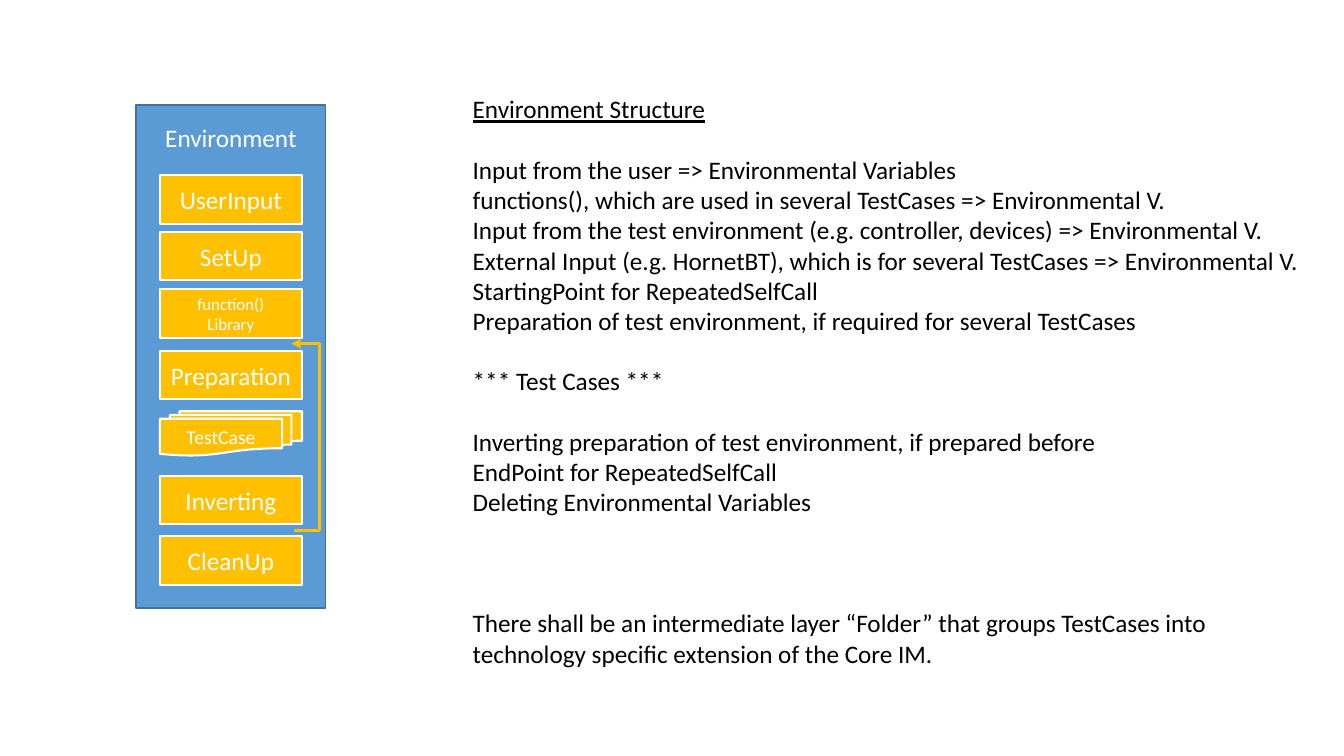
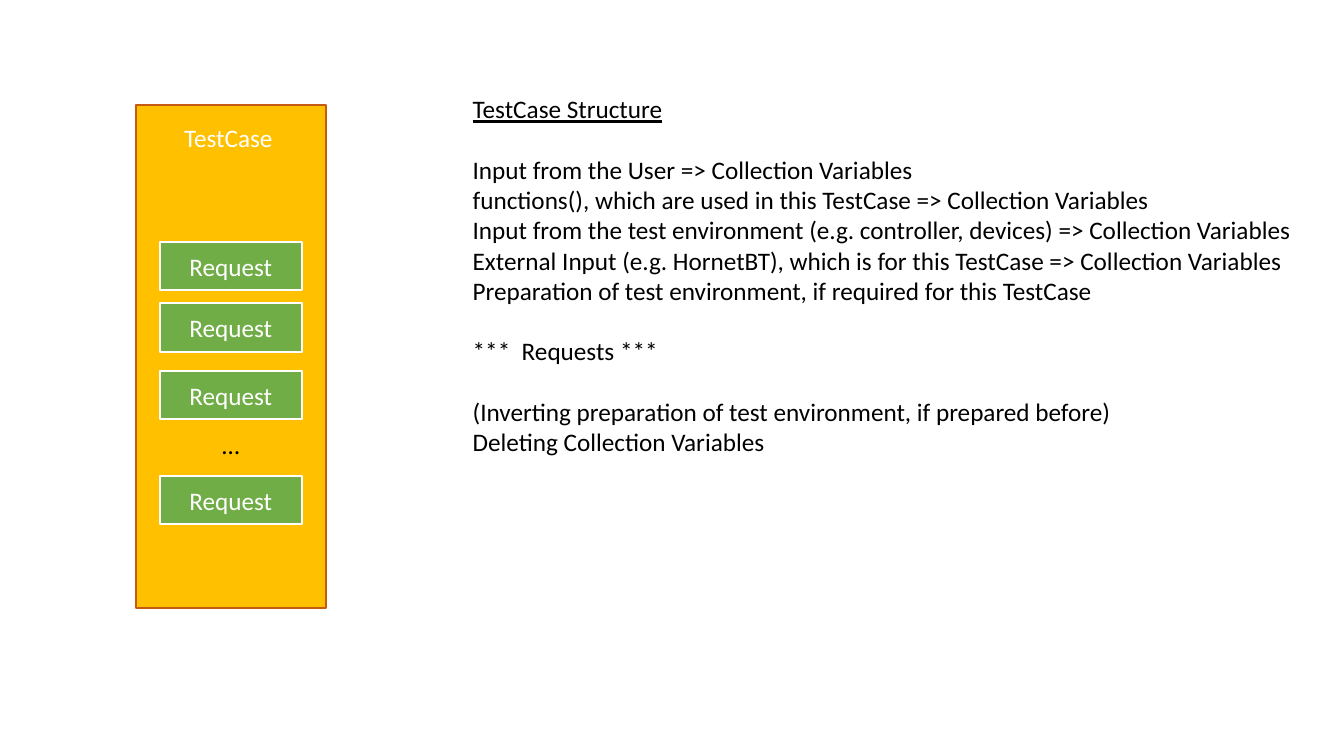
from dataclasses import dataclass

from lxml import etree
from pptx import Presentation
from pptx.dml.color import RGBColor
from pptx.enum.shapes import MSO_CONNECTOR, MSO_SHAPE
from pptx.enum.text import MSO_ANCHOR, PP_ALIGN
from pptx.oxml.ns import qn
from pptx.util import Inches, Pt

RECT, OVAL = MSO_SHAPE.RECTANGLE, MSO_SHAPE.OVAL
MULTIDOC = MSO_SHAPE.FLOWCHART_MULTIDOCUMENT
ELBOW = MSO_CONNECTOR.ELBOW
LEFT, CENTER = PP_ALIGN.LEFT, PP_ALIGN.CENTER
TOP, MIDDLE = MSO_ANCHOR.TOP, MSO_ANCHOR.MIDDLE


@dataclass(frozen=True)
class Theme:
    font: str = "Calibri"
    blue: str = "5B9BD5"
    navy: str = "41719C"
    gold: str = "FFC000"
    rust: str = "C55A11"
    green: str = "70AD47"
    white: str = "FFFFFF"
    black: str = "000000"
    body: float = 18
    medium: float = 14
    small: float = 12
    line_gap: float = 21.6
    thin: float = 1
    border: float = 1.5
    arrow: float = 2.25


T = Theme()

SLIDE_W, SLIDE_H = 13.33, 7.5
PANEL = (1.35, 1.04, 1.88, 4.99)
STEP_W, STEP_H, DOC_H = 1.41, 0.48, 0.44
STEP_X = PANEL[0] + (PANEL[2] - STEP_W) / 2
LABEL_X, LABEL_Y, LABEL_H = 1.53, 1.16, 0.4
NOTES_X, NOTES_Y, NOTES_W = 4.59, 0.88, 8.7
LOOP_START, LOOP_END, LOOP_X = (2.92, 5.26), (2.89, 3.41), 3.17
DOT = 0.05

# Steps: top, lines of text, type size, shape, height.
# Notes: blocks of lines, each with the number of free lines above it.
SLIDES = [
    dict(
        label="Environment", label_w=1.52,
        panel=(T.blue, T.navy, T.thin), step_fill=T.gold,
        steps=[
            (1.74, ["UserInput"], T.body, RECT, STEP_H),
            (2.30, ["SetUp"], T.body, RECT, STEP_H),
            (2.87, ["function()", "Library"], T.small, RECT, STEP_H),
            (3.48, ["Preparation"], T.body, RECT, STEP_H),
            (4.08, ["TestCase"], T.medium, MULTIDOC, DOC_H),
            (4.72, ["Inverting"], T.body, RECT, STEP_H),
            (5.32, ["CleanUp"], T.body, RECT, STEP_H),
        ],
        loop=True, ellipsis_y=None,
        heading="Environment Structure",
        notes=[
            (1, ["Input from the user => Environmental Variables",
                 "functions(), which are used in several TestCases => Environmental V.",
                 "Input from the test environment (e.g. controller, devices) => Environmental V.",
                 "External Input (e.g. HornetBT), which is for several TestCases => Environmental V.",
                 "StartingPoint for RepeatedSelfCall",
                 "Preparation of test environment, if required for several TestCases"]),
            (1, ["*** Test Cases ***"]),
            (1, ["Inverting preparation of test environment, if prepared before",
                 "EndPoint for RepeatedSelfCall",
                 "Deleting Environmental Variables"]),
            (3, ["There shall be an intermediate layer “Folder” that groups TestCases into",
                 "technology specific extension of the Core IM."]),
        ],
    ),
    dict(
        label="TestCase", label_w=1.47,
        panel=(T.gold, T.rust, T.border), step_fill=T.green,
        steps=[(y, ["Request"], T.body, RECT, STEP_H)
               for y in (2.40, 3.01, 3.68, 4.72)],
        loop=False, ellipsis_y=4.21,
        heading="TestCase Structure",
        notes=[
            (1, ["Input from the User => Collection Variables",
                 "functions(), which are used in this TestCase => Collection Variables",
                 "Input from the test environment (e.g. controller, devices) => Collection Variables",
                 "External Input (e.g. HornetBT), which is for this TestCase => Collection Variables",
                 "Preparation of test environment, if required for this TestCase"]),
            (1, ["***  Requests ***"]),
            (1, ["(Inverting preparation of test environment, if prepared before)",
                 "Deleting Collection Variables"]),
        ],
    ),
]


def rgb(color):
    return RGBColor.from_string(color)


def write(sp, lines, size=T.body, color=T.white, align=CENTER, anchor=TOP):
    """Fill a shape with (text, underlined, free lines above) paragraphs."""
    tf = sp.text_frame
    tf.word_wrap = True
    tf.vertical_anchor = anchor
    for i, (text, underline, gap) in enumerate(lines):
        p = tf.add_paragraph() if i else tf.paragraphs[0]
        p.alignment = align
        if gap:
            p.space_before = Pt(gap * T.line_gap)
        r = p.add_run()
        r.text = text
        r.font.name = T.font
        r.font.size = Pt(size)
        r.font.color.rgb = rgb(color)
        if underline:
            r.font.underline = True


def plain(*texts):
    return [(text, False, 0) for text in texts]


def add_text(s, box, lines, **style):
    write(s.shapes.add_textbox(*map(Inches, box)), lines, **style)


def add_shape(s, kind, box, fill, line=None, width=T.border):
    sp = s.shapes.add_shape(kind, *map(Inches, box))
    sp.shadow.inherit = False
    sp.fill.solid()
    sp.fill.fore_color.rgb = rgb(fill)
    if line:
        sp.line.color.rgb = rgb(line)
        sp.line.width = Pt(width)
    else:
        sp.line.fill.background()
    return sp


def add_loop(s, dot_fill):
    """Draw the arrow that bends out to LOOP_X and returns above."""
    (x1, y1), (x2, y2) = LOOP_START, LOOP_END
    cx = s.shapes.add_connector(ELBOW, *map(Inches, (x1, y1, x2, y2)))
    cx.line.color.rgb = rgb(T.gold)
    cx.line.width = Pt(T.arrow)
    sp_pr = cx._element.spPr
    guides = sp_pr.find(qn("a:prstGeom")).find(qn("a:avLst"))
    bend = round((LOOP_X - x1) / (x2 - x1) * 100000)
    etree.SubElement(guides, qn("a:gd"), name="adj1", fmla=f"val {bend}")
    etree.SubElement(sp_pr.find(qn("a:ln")), qn("a:tailEnd"), type="triangle")
    etree.SubElement(sp_pr, qn("a:effectLst"))
    for x, y in (LOOP_START, LOOP_END):
        add_shape(s, OVAL, (x - DOT, y - DOT / 2, DOT, DOT), dot_fill)


def add_notes(s, heading, blocks):
    lines = [(heading, True, 0)]
    for gap, texts in blocks:
        lines += [(text, False, 0 if i else gap) for i, text in enumerate(texts)]
    height = 0.1 + 0.3 * sum(1 + gap for _, _, gap in lines)
    add_text(s, (NOTES_X, NOTES_Y, NOTES_W, height), lines,
             color=T.black, align=LEFT)


def build_slide(prs, d):
    s = prs.slides.add_slide(prs.slide_layouts[6])
    fill, line, width = d["panel"]
    add_shape(s, RECT, PANEL, fill, line, width)
    add_text(s, (LABEL_X, LABEL_Y, d["label_w"], LABEL_H), plain(d["label"]))
    if d["loop"]:
        add_loop(s, fill)
    for y, texts, size, kind, height in d["steps"]:
        sp = add_shape(s, kind, (STEP_X, y, STEP_W, height), d["step_fill"], T.white)
        write(sp, plain(*texts), size=size, anchor=MIDDLE)
    if d["ellipsis_y"]:
        add_text(s, (STEP_X, d["ellipsis_y"], STEP_W, LABEL_H), plain("…"),
                 color=T.black)
    add_notes(s, d["heading"], d["notes"])


def main():
    prs = Presentation()
    prs.slide_width, prs.slide_height = Inches(SLIDE_W), Inches(SLIDE_H)
    for d in SLIDES:
        build_slide(prs, d)
    prs.save("out.pptx")


if __name__ == "__main__":
    main()
